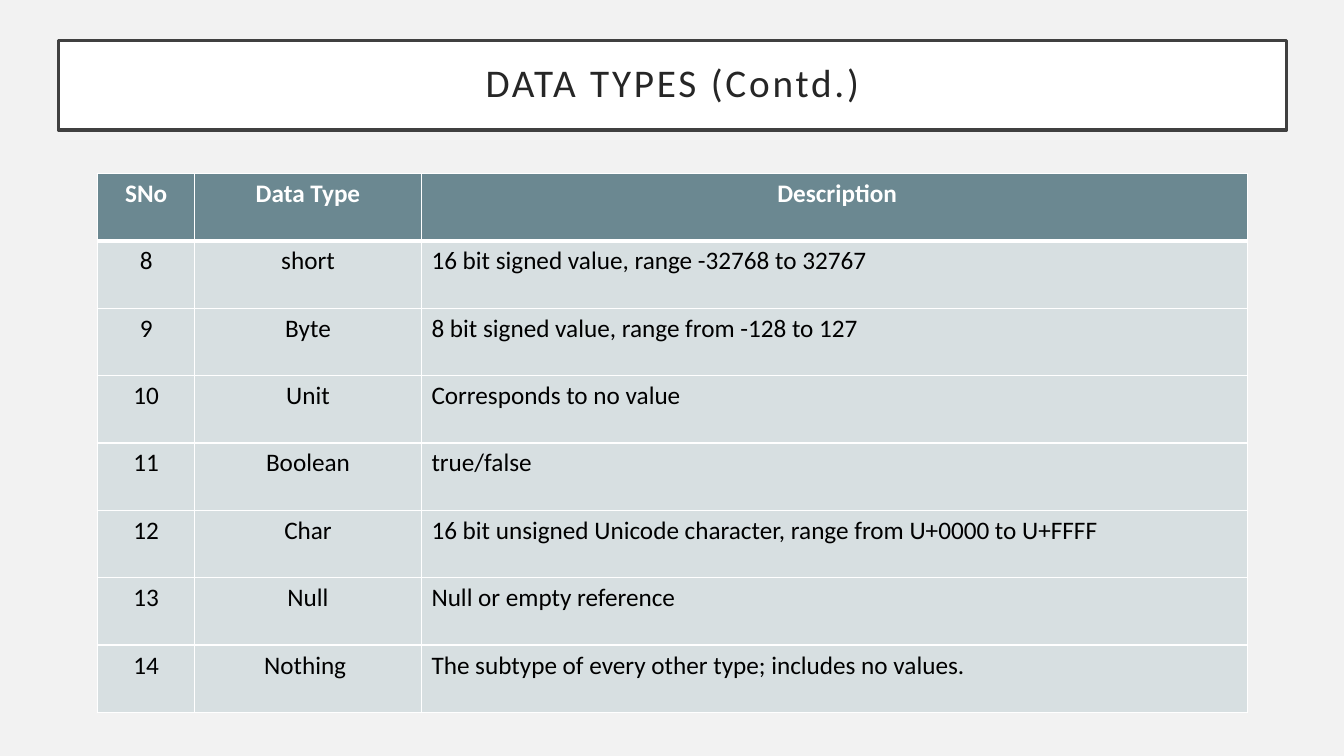
from typing import NamedTuple

from lxml.etree import SubElement
from pptx import Presentation
from pptx.dml.color import RGBColor
from pptx.enum.text import MSO_ANCHOR, MSO_AUTO_SIZE, PP_ALIGN
from pptx.oxml.ns import qn
from pptx.util import Inches, Pt

WIDTH, HEIGHT = 13.33, 7.5
FONT = "Calibri"
ROW_HEIGHT = 5.35 / 8
HEADER_RULE, CELL_RULE = 3, 1


class Column(NamedTuple):
    name: str
    width: float
    align: PP_ALIGN


class DataType(NamedTuple):
    number: str
    name: str
    description: str


COLUMNS = [
    Column("SNo", 0.96, PP_ALIGN.CENTER),
    Column("Data Type", 2.25, PP_ALIGN.CENTER),
    Column(" Description", 8.19, PP_ALIGN.LEFT),
]
DATA_TYPES = [
    DataType("8", "short", "16 bit signed value, range -32768 to 32767"),
    DataType("9", "Byte", "8 bit signed value, range from -128 to 127"),
    DataType("10", "Unit", "Corresponds to no value"),
    DataType("11", "Boolean", "true/false"),
    DataType("12", "Char", "16 bit unsigned Unicode character, range from U+0000 to U+FFFF"),
    DataType("13", "Null", "Null or empty reference"),
    DataType("14", "Nothing ", "The subtype of every other type; includes no values."),
]


def paint(fill, color: str) -> None:
    fill.solid()
    fill.fore_color.rgb = RGBColor.from_string(color)


def style_text(p, size: float, color: str, align: PP_ALIGN, bold: bool = False) -> None:
    p.alignment = align
    p.font.name = FONT
    p.font.size = Pt(size)
    p.font.bold = bold
    paint(p.font.fill, color)


def add_borders(cell, top: float, bottom: float) -> None:
    tc_pr = cell._tc.get_or_add_tcPr()
    for side, width in {"L": CELL_RULE, "R": CELL_RULE, "T": top, "B": bottom}.items():
        ln = SubElement(tc_pr, qn(f"a:ln{side}"), w=str(Pt(width)))
        SubElement(SubElement(ln, qn("a:solidFill")), qn("a:srgbClr"), val="FFFFFF")


def draw_title(s, text: str) -> None:
    sp = s.shapes.title
    sp.left, sp.top, sp.width, sp.height = map(Inches, (0.58, 0.4, 12.18, 0.89))
    paint(sp.fill, "FFFFFF")
    paint(sp.line.fill, "404040")
    sp.line.width = Pt(2.5)
    tf = sp.text_frame
    tf.text = text
    tf.word_wrap = True
    tf.auto_size = MSO_AUTO_SIZE.NONE
    tf.vertical_anchor = MSO_ANCHOR.MIDDLE
    tf.margin_left = tf.margin_right = tf.margin_top = tf.margin_bottom = Inches(0.2)
    p = tf.paragraphs[0]
    p.line_spacing = 0.9
    style_text(p, 28, "262626", PP_ALIGN.CENTER)
    p._p.pPr.find(qn("a:defRPr")).set("spc", "200")


def draw_table(s, columns: list[Column], data_types: list[DataType]) -> None:
    rows = [tuple(c.name for c in columns), *data_types]
    width = sum(c.width for c in columns)
    table = s.shapes.add_table(
        len(rows), len(columns), Inches(0.97), Inches(1.72),
        Inches(width), Inches(ROW_HEIGHT * len(rows)),
    ).table
    table.horz_banding = False
    for col, column in zip(table.columns, columns):
        col.width = Inches(column.width)
    for i, row in enumerate(rows):
        header = i == 0
        for j, (text, column) in enumerate(zip(row, columns)):
            cell = table.cell(i, j)
            cell.text = text
            add_borders(
                cell,
                HEADER_RULE if i == 1 else CELL_RULE,
                HEADER_RULE if header else CELL_RULE,
            )
            paint(cell.fill, "6B8891" if header else "D7DFE1")
            style_text(
                cell.text_frame.paragraphs[0], 18,
                "FFFFFF" if header else "000000",
                PP_ALIGN.CENTER if header else column.align, header,
            )


def main() -> None:
    prs = Presentation()
    prs.slide_width, prs.slide_height = Inches(WIDTH), Inches(HEIGHT)
    s = prs.slides.add_slide(prs.slide_layouts[5])
    paint(s.background.fill, "F2F2F2")
    draw_title(s, "DATA TYPES (Contd.)")
    draw_table(s, COLUMNS, DATA_TYPES)
    prs.save("out.pptx")


if __name__ == "__main__":
    main()
